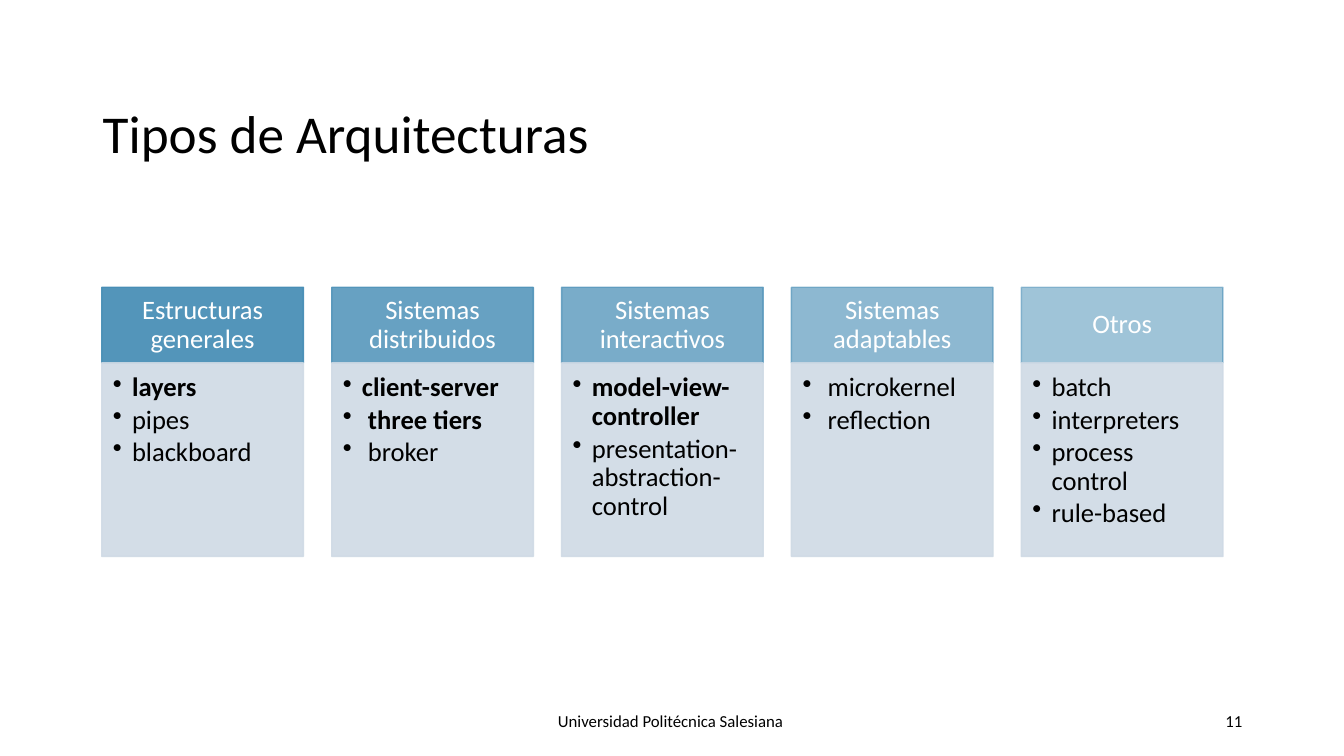
from lxml import etree
from pptx import Presentation
from pptx.dml.color import RGBColor
from pptx.enum.shapes import MSO_SHAPE
from pptx.enum.text import MSO_ANCHOR, PP_ALIGN
from pptx.oxml.ns import qn
from pptx.util import Inches, Pt

RECTANGLE = MSO_SHAPE.RECTANGLE
TOP, MIDDLE = MSO_ANCHOR.TOP, MSO_ANCHOR.MIDDLE
LEFT, CENTER, RIGHT = PP_ALIGN.LEFT, PP_ALIGN.CENTER, PP_ALIGN.RIGHT

# Content: each item is a list of (text, bold) runs
TITLE = "Tipos de Arquitecturas"
FOOTER = "Universidad Politécnica Salesiana "
PAGE_NUMBER = "11"
CATEGORIES = [
    ("Estructuras generales",
     [[("layers", True)], [("pipes", False)], [("blackboard", False)]]),
    ("Sistemas distribuidos",
     [[("client-server", True)], [(" ", False), ("three tiers", True)],
      [(" broker", False)]]),
    ("Sistemas interactivos",
     [[("model-view-controller", True)],
      [("presentation-abstraction-control", False)]]),
    ("Sistemas adaptables",
     [[(" microkernel", False)], [(" reflection", False)]]),
    ("Otros",
     [[("batch", False)], [("interpreters", False)],
      [("process control", False)], [("rule-based", False)]]),
]

# Style
FONT = "Calibri"
BLACK = RGBColor(0x00, 0x00, 0x00)
WHITE = RGBColor(0xFF, 0xFF, 0xFF)
BLUE = RGBColor(0x41, 0x8A, 0xB3)
PALE_BLUE = RGBColor(0xCF, 0xDA, 0xE5)

# Grid, in inches
SLIDE_WIDTH, SLIDE_HEIGHT = 13.33, 7.5
GRID_LEFT, GRID_TOP = 1.01, 2.85
COLUMN_WIDTH, COLUMN_GAP = 2, 0.28
HEADER_HEIGHT, BODY_HEIGHT = 0.75, 1.92
FOOTER_TOP, FOOTER_HEIGHT = 6.95, 0.4
BULLET_INDENT = 0.19
DEFAULT_INSETS = (0.1, 0.05, 0.1, 0.05)


def write_text(shape, paragraphs, size, color=BLACK, align=LEFT, anchor=MIDDLE,
               insets=DEFAULT_INSETS, line_spacing=1.0, space_after=0, bullet=False):
    """Fill a shape with paragraphs, each a list of (text, bold) runs."""
    frame = shape.text_frame
    frame.word_wrap = True
    frame.vertical_anchor = anchor
    (frame.margin_left, frame.margin_top,
     frame.margin_right, frame.margin_bottom) = map(Inches, insets)
    for index, runs in enumerate(paragraphs):
        paragraph = frame.add_paragraph() if index else frame.paragraphs[0]
        paragraph.alignment = align
        paragraph.line_spacing = line_spacing
        paragraph.space_after = Pt(space_after)
        if bullet:
            properties = paragraph._p.get_or_add_pPr()
            properties.set("marL", str(Inches(BULLET_INDENT)))
            properties.set("indent", str(-Inches(BULLET_INDENT)))
            etree.SubElement(properties, qn("a:buChar")).set("char", "•")
        for text, bold in runs:
            run = paragraph.add_run()
            run.text = text
            run.font.name = FONT
            run.font.size = Pt(size)
            run.font.bold = bold
            run.font.color.rgb = color


def add_text_box(slide, left, top, width, height, text, **text_format):
    box = slide.shapes.add_textbox(*map(Inches, (left, top, width, height)))
    write_text(box, [[(text, False)]], **text_format)


def add_panel(slide, left, top, height, color, opacity):
    """Add a column-wide rectangle with opacity in percent."""
    panel = slide.shapes.add_shape(
        RECTANGLE, *map(Inches, (left, top, COLUMN_WIDTH, height)))
    panel.shadow.inherit = False
    panel.line.width = Pt(1)
    for fill in (panel.fill, panel.line.fill):
        fill.solid()
        fill.fore_color.rgb = color
    for color_element in panel._element.spPr.iter(qn("a:srgbClr")):
        etree.SubElement(color_element, qn("a:alpha")).set("val", str(opacity * 1000))
    return panel


def main():
    presentation = Presentation()
    presentation.slide_width = Inches(SLIDE_WIDTH)
    presentation.slide_height = Inches(SLIDE_HEIGHT)
    slide = presentation.slides.add_slide(presentation.slide_layouts[6])

    # Title and footer
    add_text_box(slide, 0.92, 0.85, 11.5, 1, TITLE, size=38, line_spacing=0.9)
    add_text_box(slide, 4.42, FOOTER_TOP, 4.5, FOOTER_HEIGHT, FOOTER,
                 size=12, align=CENTER)
    add_text_box(slide, 9.42, FOOTER_TOP, 3, FOOTER_HEIGHT, PAGE_NUMBER,
                 size=12, align=RIGHT)

    # Category columns, with headers fading to the right
    for column, (heading, items) in enumerate(CATEGORIES):
        left = GRID_LEFT + column * (COLUMN_WIDTH + COLUMN_GAP)
        header = add_panel(slide, left, GRID_TOP, HEADER_HEIGHT, BLUE, 90 - 10 * column)
        write_text(header, [[(heading, False)]], size=19, color=WHITE, align=CENTER,
                   insets=(0.15, 0.08, 0.15, 0.08), line_spacing=0.9)
        body = add_panel(slide, left, GRID_TOP + HEADER_HEIGHT, BODY_HEIGHT,
                         PALE_BLUE, 90)
        write_text(body, items, size=19, anchor=TOP, insets=(0.11, 0.11, 0.15, 0.17),
                   line_spacing=0.9, space_after=2.6, bullet=True)

    presentation.save("out.pptx")


if __name__ == "__main__":
    main()
